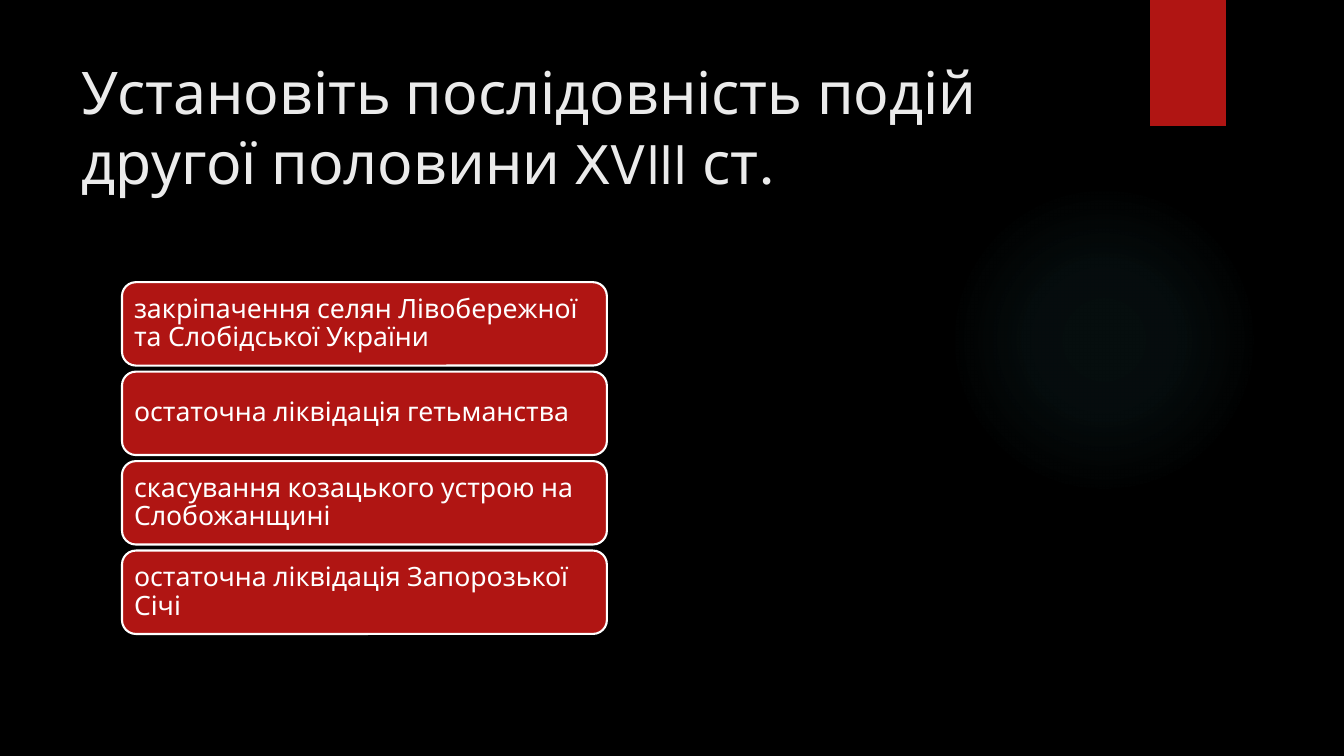
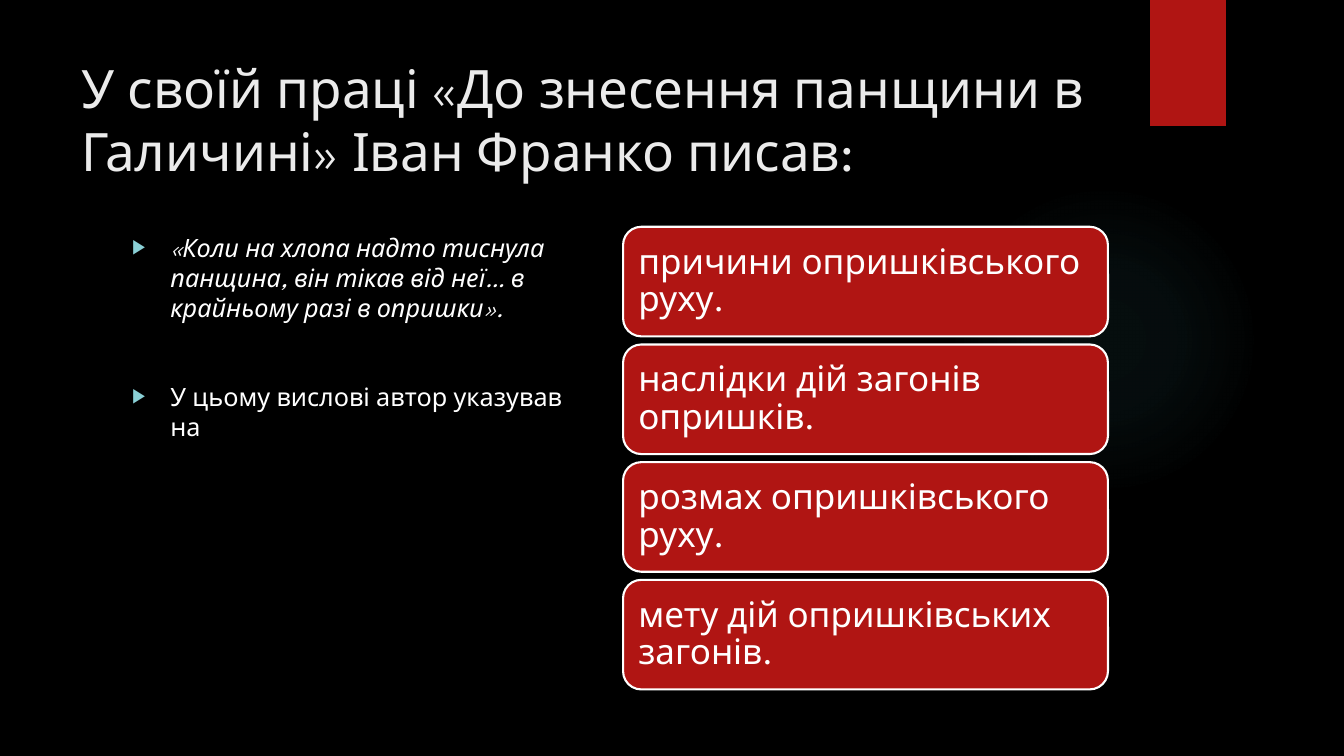
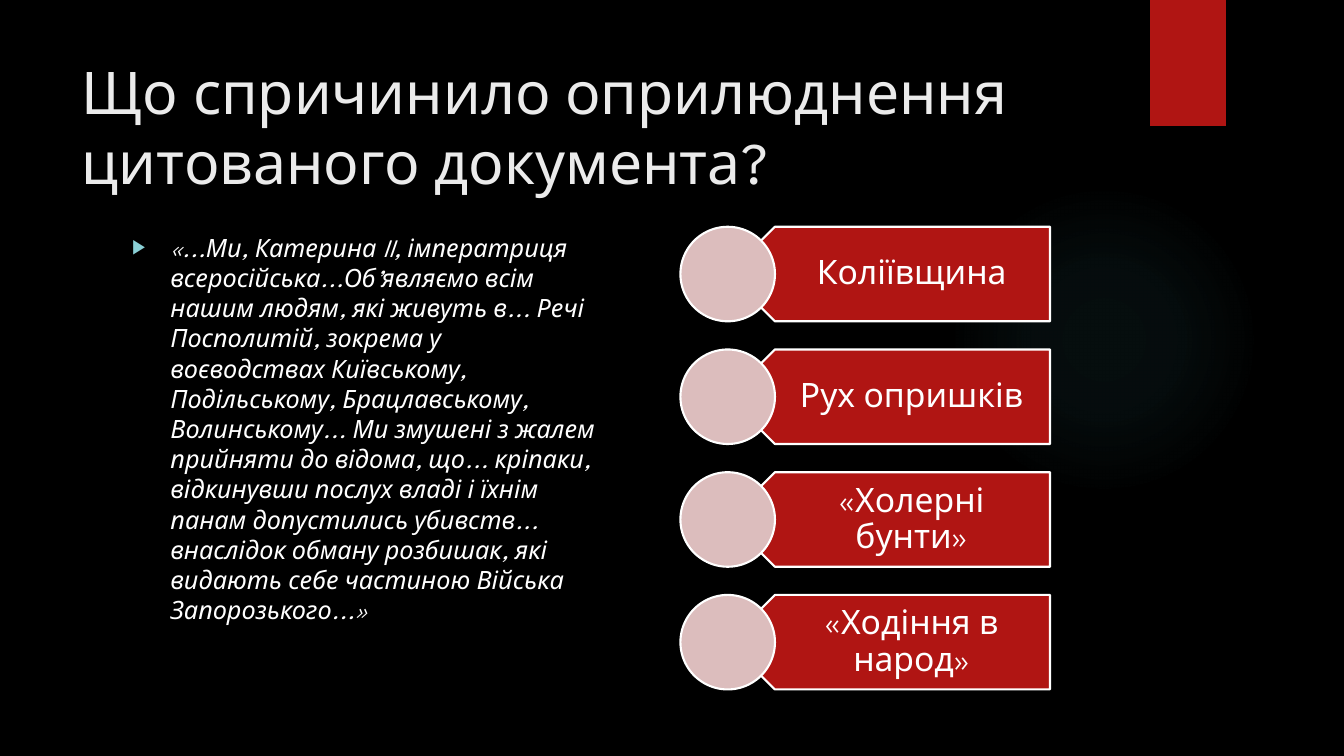
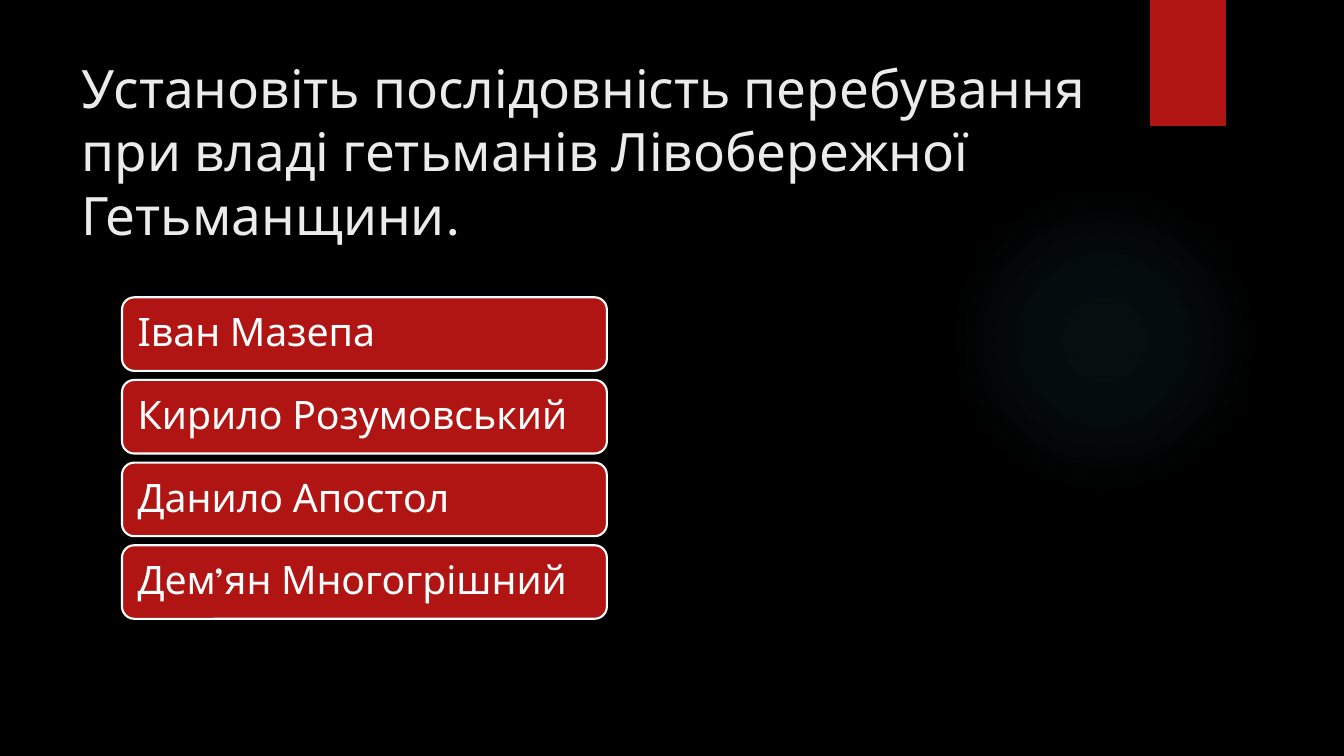
from dataclasses import dataclass

from pptx import Presentation
from pptx.dml.color import RGBColor
from pptx.enum.shapes import MSO_SHAPE as Preset
from pptx.enum.text import MSO_ANCHOR as Anchor, MSO_AUTO_SIZE as AutoSize, PP_ALIGN as Align
from pptx.oxml import parse_xml
from pptx.oxml.ns import nsdecls
from pptx.util import Inches, Pt

FONT = "League Spartan"
RED, WHITE, PALE_RED = "B01513", "FFFFFF", "DCBDBD"
TITLE_COLOUR, BULLET_COLOUR, GLOW_COLOUR = "EBEBEB", "8AD0D6", "50B9C1"
SLIDE_WIDTH, SLIDE_HEIGHT = Inches(13.33), Inches(7.5)
TITLE_ONLY, TITLE_AND_BODY = 5, 1


@dataclass
class Box:
    """A region in hundredths of the slide's width and height."""
    left: float
    top: float
    width: float
    height: float

    def emu(self):
        across, down = SLIDE_WIDTH / 100, SLIDE_HEIGHT / 100
        return (round(self.left * across), round(self.top * down),
                round(self.width * across), round(self.height * down))

    def rows(self, count, gap):
        height = (self.height - gap * (count - 1)) / count
        return [Box(self.left, self.top + i * (height + gap), self.width, height)
                for i in range(count)]


TITLE_BOX = Box(5.33, 6.67, 77.17, 20.4)
LEFT_COLUMN = Box(9.08, 30, 36.08, 61.2)
RIGHT_COLUMN = Box(46.36, 30, 36.08, 61.2)
RIBBON_COLUMN = Box(50.63, 30, 27.5, 61.2)
GLOW_BOX = Box(70.58, 24.4, 23.1, 41.07)
FLAG_BOX = Box(85.58, 0, 5.63, 16.67)


def colour(hex_string):
    return RGBColor.from_string(hex_string)


def place(shape, box):
    shape.left, shape.top, shape.width, shape.height = box.emu()


def add_span(para, text, size, hex_string=WHITE, italic=False):
    span = para.add_run()
    span.text = text
    font = span.font
    font.name, font.size, font.italic = FONT, Pt(size), italic
    font.color.rgb = colour(hex_string)


def add_figure(page, preset, box, fill, outlined=True):
    figure = page.shapes.add_shape(preset, *box.emu())
    figure.shadow.inherit = False
    figure.fill.solid()
    figure.fill.fore_color.rgb = colour(fill)
    if outlined:
        figure.line.color.rgb = colour(WHITE)
        figure.line.width = Pt(1.5)
    else:
        figure.line.fill.background()
    return figure


def add_label(figure, text, size, align, margins):
    """Write one paragraph in a figure; margins are left, top, right, bottom."""
    frame = figure.text_frame
    frame.word_wrap = True
    frame.vertical_anchor = Anchor.MIDDLE
    (frame.margin_left, frame.margin_top,
     frame.margin_right, frame.margin_bottom) = map(Inches, margins)
    para = frame.paragraphs[0]
    para.alignment = align
    para.line_spacing = 0.9
    add_span(para, text, size)


def add_card_list(page, box, texts, gap, size, margin):
    for text, row in zip(texts, box.rows(len(texts), gap)):
        card = add_figure(page, Preset.ROUNDED_RECTANGLE, row, RED)
        add_label(card, text, size, Align.LEFT, [margin] * 4)


def add_ribbon_list(page, box, texts, gap, size):
    """Stack left-pointing ribbons, each with a disc over its point."""
    for text, row in zip(texts, box.rows(len(texts), gap)):
        disc_width = row.height * SLIDE_HEIGHT / SLIDE_WIDTH
        ribbon_box = Box(row.left + disc_width / 2, row.top,
                         row.width - disc_width / 2, row.height)
        ribbon = add_figure(page, Preset.PENTAGON, ribbon_box, RED)
        ribbon.element.spPr.get_or_add_xfrm().set("flipH", "1")
        add_label(ribbon, text, size, Align.CENTER, (0.41, 0.1, 0.19, 0.1))
        disc_box = Box(row.left, row.top, disc_width, row.height)
        add_figure(page, Preset.OVAL, disc_box, PALE_RED)


def add_bullet(para):
    props = para._p.get_or_add_pPr()
    indent = Inches(0.38)
    props.set("marL", str(indent))
    props.set("indent", str(-indent))
    for tag in (f'<a:buClr {nsdecls("a")}><a:srgbClr val="{BULLET_COLOUR}"/></a:buClr>',
                f'<a:buSzPct {nsdecls("a")} val="80000"/>',
                f'<a:buChar {nsdecls("a")} char="▶"/>'):
        props.append(parse_xml(tag))


def fill_body(page, box, items):
    """Fill the body with (text, italic) items."""
    body = page.placeholders[1]
    place(body, box)
    frame = body.text_frame
    frame.auto_size = AutoSize.NONE
    for i, (text, italic) in enumerate(items):
        para = frame.add_paragraph() if i else frame.paragraphs[0]
        add_bullet(para)
        para.space_before = Pt(41.6 if i else 0)
        add_span(para, text, 18, italic=italic)


def add_page(deck, layout, title, size):
    page = deck.slides.add_slide(deck.slide_layouts[layout])
    frame = page.shapes.title.text_frame
    frame.auto_size = AutoSize.NONE
    frame.vertical_anchor = Anchor.TOP
    para = frame.paragraphs[0]
    para.alignment = Align.LEFT
    add_span(para, title, size, TITLE_COLOUR)
    return page


def set_glow(shape):
    """Give a shape a round gradient that fades outwards."""
    stops = "".join(
        f'<a:gs pos="{place_at}000"><a:srgbClr val="{GLOW_COLOUR}">'
        f'<a:alpha val="{alpha}000"/></a:srgbClr></a:gs>'
        for place_at, alpha in ((0, 7), (36, 6), (69, 0), (100, 0)))
    gradient = parse_xml(
        f'<a:gradFill {nsdecls("a")} rotWithShape="1"><a:gsLst>{stops}</a:gsLst>'
        '<a:path path="circle"><a:fillToRect l="50000" t="50000" r="50000" b="50000"/>'
        '</a:path></a:gradFill>')
    props = shape.element.spPr
    props.replace(props.solidFill, gradient)


def style_master(deck):
    master = deck.slide_master
    master.background.fill.solid()
    master.background.fill.fore_color.rgb = colour("000000")
    place(master.placeholders[0], TITLE_BOX)


def decorate_master(deck, page):
    """Draw the glow and the flag on a page, then move them to the master."""
    glow = add_figure(page, Preset.OVAL, GLOW_BOX, GLOW_COLOUR, outlined=False)
    set_glow(glow)
    flag = add_figure(page, Preset.RECTANGLE, FLAG_BOX, RED, outlined=False)
    tree = deck.slide_master.element.cSld.spTree
    for i, shape in enumerate((glow, flag)):
        shape.element.nvSpPr.cNvPr.set("id", str(101 + i))
        tree.insert(2 + i, shape.element)


def main():
    deck = Presentation()
    deck.slide_width, deck.slide_height = SLIDE_WIDTH, SLIDE_HEIGHT
    style_master(deck)

    events = add_page(deck, TITLE_ONLY,
                      "Установіть послідовність подій другої половини XVIII ст.", 42)
    add_card_list(events, Box(9.08, 37.33, 36.08, 46.53), [
        "закріпачення селян Лівобережної та Слобідської України",
        "остаточна ліквідація гетьманства",
        "скасування козацького устрою на Слобожанщині",
        "остаточна ліквідація Запорозької Січі",
    ], gap=0.8, size=19, margin=0.08)
    decorate_master(deck, events)

    quote = add_page(deck, TITLE_AND_BODY,
                     "У своїй праці «До знесення панщини в Галичині» Іван Франко писав:", 37.8)
    fill_body(quote, LEFT_COLUMN, [
        ("«Коли на хлопа надто тиснула панщина, він тікав від неї… "
         "в крайньому разі в опришки».", True),
        ("У цьому вислові автор указував на", False),
    ])
    add_card_list(quote, RIGHT_COLUMN, [
        "причини опришківського руху.",
        "наслідки дій загонів опришків.",
        "розмах опришківського руху.",
        "мету дій опришківських загонів.",
    ], gap=1.07, size=25, margin=0.1)

    decree = add_page(deck, TITLE_AND_BODY,
                      "Що спричинило оприлюднення цитованого документа?", 42)
    fill_body(decree, LEFT_COLUMN, [
        ("«...Ми, Катерина II, імператриця всеросійська...Об’являємо всім нашим людям, "
         "які живуть в... Речі Посполитій, зокрема у воєводствах Київському, Подільському, "
         "Брацлавському, Волинському... Ми змушені з жалем прийняти до відома, що... "
         "кріпаки, відкинувши послух владі і їхнім панам допустились убивств... внаслідок "
         "обману розбишак, які видають себе частиною Війська Запорозького...»", True),
    ])
    add_ribbon_list(decree, RIBBON_COLUMN, [
        "Коліївщина", "Рух опришків", "«Холерні бунти»", "«Ходіння в народ»",
    ], gap=3.73, size=24)

    hetmans = add_page(deck, TITLE_ONLY, "Установіть послідовність перебування при владі "
                       "гетьманів Лівобережної Гетьманщини.", 37.8)
    add_card_list(hetmans, Box(9.08, 39.33, 36.08, 42.53), [
        "Іван Мазепа", "Кирило Розумовський", "Данило Апостол", "Дем’ян Многогрішний",
    ], gap=1.2, size=28, margin=0.12)

    deck.save("out.pptx")


if __name__ == "__main__":
    main()
